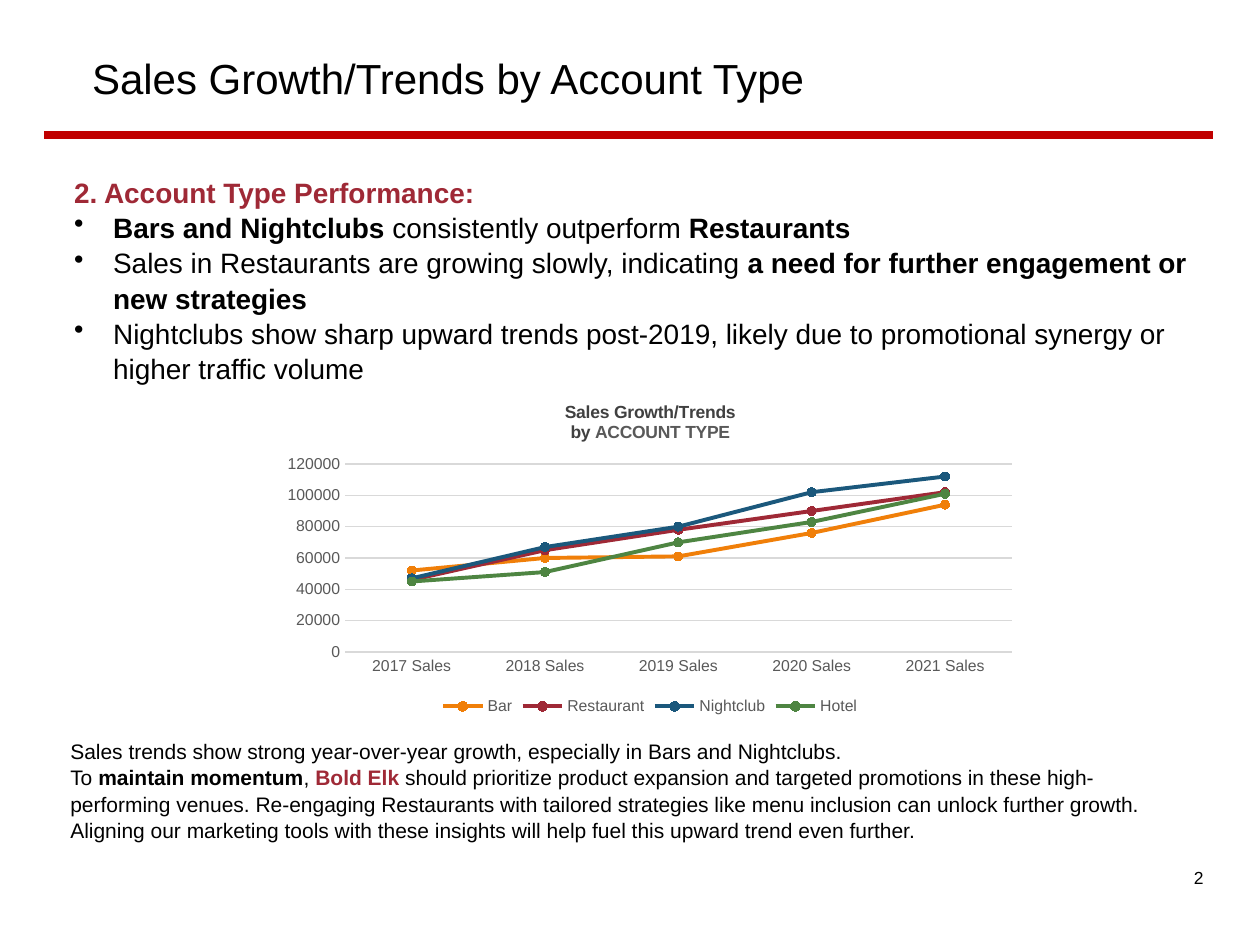
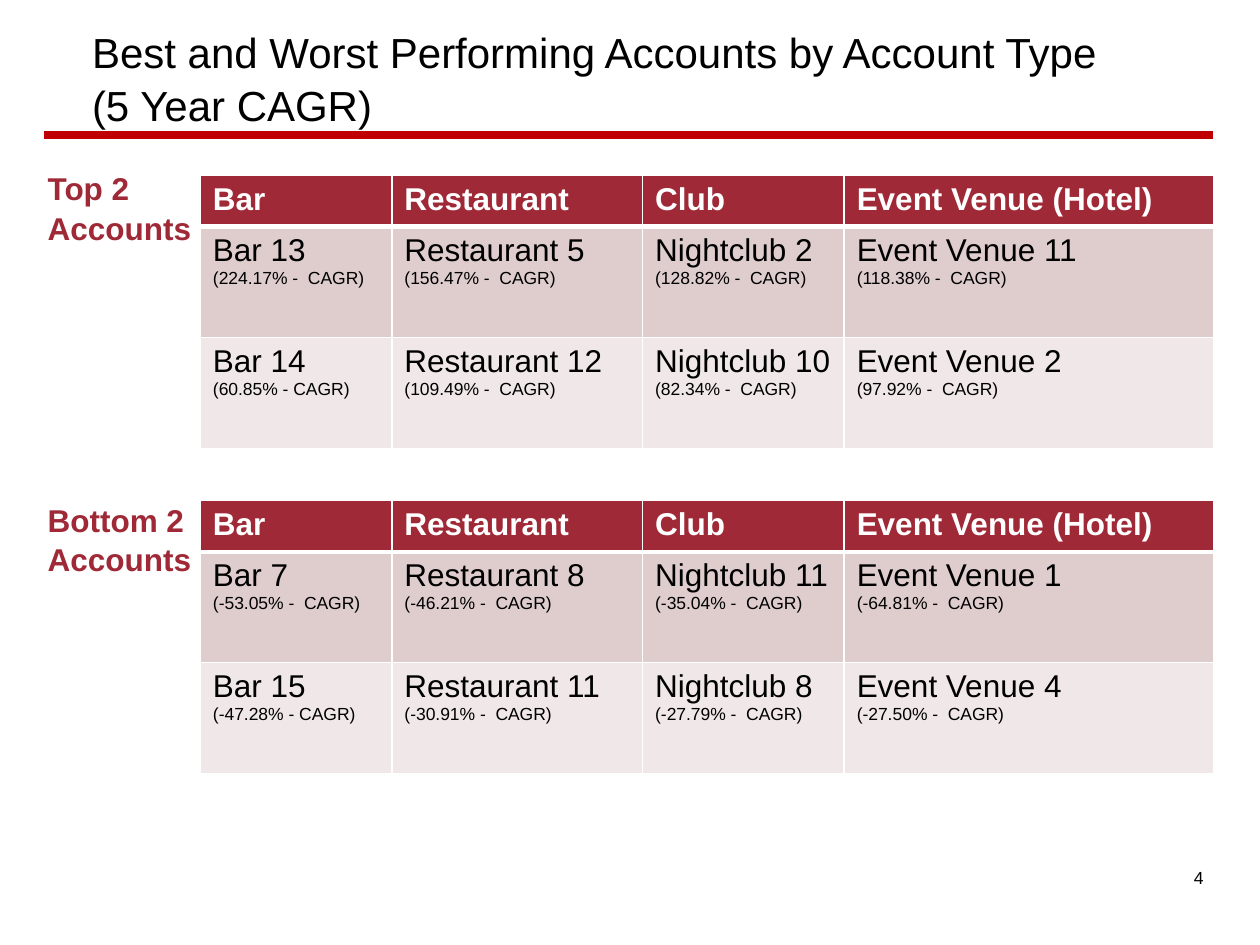
import pptx
import pptx.util
import pptx.chart.data
import pptx.dml.color
import pptx.enum.chart
import pptx.enum.shapes
import pptx.enum.text
import pptx.oxml
import pptx.oxml.ns

Inches = pptx.util.Inches
Pt = pptx.util.Pt
RGB = pptx.dml.color.RGBColor
qn = pptx.oxml.ns.qn
ALIGN = pptx.enum.text.PP_ALIGN
ANCHOR = pptx.enum.text.MSO_ANCHOR

FONT = "Arial"
BLACK = RGB(0x00, 0x00, 0x00)
WHITE = RGB(0xFF, 0xFF, 0xFF)
RULE = RGB(0xC0, 0x00, 0x00)
WINE = RGB(0x9F, 0x29, 0x36)
ROSE = RGB(0xDF, 0xCD, 0xCE)
BLUSH = RGB(0xF0, 0xE8, 0xE8)
ORANGE = RGB(0xF0, 0x7F, 0x09)
NAVY = RGB(0x1B, 0x58, 0x7C)
GREEN = RGB(0x4E, 0x85, 0x42)
DARK = RGB(0x40, 0x40, 0x40)
GREY = RGB(0x59, 0x59, 0x59)
PALE = RGB(0xD9, 0xD9, 0xD9)


def write(frame, text, size=18, color=BLACK, bold=False, align=None,
          bullet=False, space=None, hot=None):
    for line in text.split("\n"):
        para = frame.add_paragraph() if frame.text else frame.paragraphs[0]
        para.alignment = align
        para.line_spacing = space
        if bullet:
            props = para._p.get_or_add_pPr()
            props.set("marL", str(Inches(0.31)))
            props.set("indent", str(-Inches(0.31)))
            mark = pptx.oxml.parse_xml(
                '<a:buChar xmlns:a="http://schemas.openxmlformats.org/drawingml/2006/main" char="•"/>')
            props.append(mark)
        for i, part in enumerate(line.split("*")):
            if part:
                run = para.add_run()
                run.text = part
                run.font.name = FONT
                run.font.size = Pt(size)
                run.font.bold = bold or i % 2 == 1
                run.font.color.rgb = (hot or {}).get(part, color)


def box(slide, left, top, width, height):
    shape = slide.shapes.add_textbox(Inches(left), Inches(top), Inches(width), Inches(height))
    shape.text_frame.word_wrap = True
    return shape.text_frame


deck = pptx.Presentation()
deck.slide_width = Inches(10)
deck.slide_height = Inches(7.5)

pages = []
for title, number in [
    ("Sales Growth/Trends by Account Type", "2"),
    ("Best and Worst Performing Accounts by Account Type\n(5 Year CAGR)", "4"),
]:
    slide = deck.slides.add_slide(deck.slide_layouts[6])
    write(box(slide, 7, 6.83, 2.65, 0.52), number, size=10, align=ALIGN.RIGHT)
    rule = slide.shapes.add_connector(
        pptx.enum.shapes.MSO_CONNECTOR.STRAIGHT,
        Inches(0.35), Inches(1.07), Inches(9.63), Inches(1.07))
    rule.line.color.rgb = RULE
    rule.line.width = Pt(4.5)
    rule._element.spPr.append(pptx.oxml.xmlchemy.OxmlElement("a:effectLst"))
    head = box(slide, 0.34, 0.14, 9.29, 0.94)
    head.margin_left = Inches(0.39)
    head.vertical_anchor = ANCHOR.MIDDLE
    write(head, title, size=24, space=1.05)
    pages.append(slide)

trend, ranks = pages

points = box(trend, 0.49, 1.33, 9.04, 1.72)
write(points, "2. Account Type Performance:", size=16, color=WINE, bold=True, space=1.05)
for point in [
    "*Bars and Nightclubs* consistently outperform *Restaurants*",
    "Sales in Restaurants are growing slowly, indicating "
    "*a need for further engagement or new strategies*",
    "Nightclubs show sharp upward trends post-2019, likely due to promotional "
    "synergy or higher traffic volume",
]:
    write(points, point, size=16, bullet=True, space=1.05)

data = pptx.chart.data.CategoryChartData()
data.categories = [f"{year} Sales" for year in range(2017, 2022)]
lines = [
    ("Bar", ORANGE, [52000, 60000, 61000, 76000, 94000]),
    ("Restaurant", WINE, [46000, 65000, 78000, 90000, 102000]),
    ("Nightclub", NAVY, [47000, 67000, 80000, 102000, 112000]),
    ("Hotel", GREEN, [45000, 51000, 70000, 83000, 101000]),
]
for name, color, sales in lines:
    data.add_series(name, sales)
chart = trend.shapes.add_chart(
    pptx.enum.chart.XL_CHART_TYPE.LINE_MARKERS,
    Inches(2.17), Inches(3.04), Inches(5.98), Inches(2.68), data).chart
chart.font.name = FONT
chart.font.size = Pt(9)
chart.font.color.rgb = GREY
chart.has_title = True
write(chart.chart_title.text_frame, "Sales Growth/Trends\nby *ACCOUNT TYPE*",
      size=10, color=DARK, bold=True, align=ALIGN.CENTER, hot={"ACCOUNT TYPE": GREY})
chart.has_legend = True
chart.legend.position = pptx.enum.chart.XL_LEGEND_POSITION.BOTTOM
chart.legend.include_in_layout = False
chart.plots[0].vary_by_categories = False

for series, (name, color, sales) in zip(chart.plots[0].series, lines):
    series.smooth = False
    series.format.line.color.rgb = color
    series.format.line.width = Pt(2.25)
    series.marker.style = pptx.enum.chart.XL_MARKER_STYLE.CIRCLE
    series.marker.size = 5
    series.marker.format.fill.solid()
    series.marker.format.fill.fore_color.rgb = color
    series.marker.format.line.color.rgb = color

for axis in (chart.category_axis, chart.value_axis):
    axis.major_tick_mark = pptx.enum.chart.XL_TICK_MARK.NONE
    axis.minor_tick_mark = pptx.enum.chart.XL_TICK_MARK.NONE
chart.value_axis.minimum_scale = 0
chart.value_axis.maximum_scale = 120000
chart.value_axis.major_unit = 20000
chart.value_axis.format.line.fill.background()
for edge in (chart.category_axis.format.line, chart.value_axis.major_gridlines.format.line):
    edge.color.rgb = PALE
    edge.width = Pt(0.75)

area = chart.chart_title.element.getparent().find(qn("c:plotArea"))
layout = area.find(qn("c:layout"))
if layout is None:
    layout = pptx.oxml.xmlchemy.OxmlElement("c:layout")
    area.insert(0, layout)
manual = pptx.oxml.xmlchemy.OxmlElement("c:manualLayout")
layout.append(manual)
for key, value in [("layoutTarget", "inner"), ("xMode", "edge"), ("yMode", "edge"),
                   ("x", 0.095), ("y", 0.24), ("w", 0.885), ("h", 0.557)]:
    item = pptx.oxml.xmlchemy.OxmlElement(f"c:{key}")
    item.set("val", str(value))
    manual.append(item)

close = box(trend, 0.46, 5.8, 9.04, 0.91)
write(close, "Sales trends show strong year-over-year growth, especially in Bars and Nightclubs.\n"
      "To *maintain momentum*, *Bold Elk* should prioritize product expansion and targeted "
      "promotions in these high-performing venues. Re-engaging Restaurants with tailored "
      "strategies like menu inclusion can unlock further growth. Aligning our marketing tools "
      "with these insights will help fuel this upward trend even further.",
      size=12, space=1.05, hot={"Bold Elk": WINE})

kinds = ["Bar", "Restaurant", "Club", "Event Venue (Hotel)"]
widths = [1.52, 1.99, 1.6, 2.93]
heights = [0.41, 0.88, 0.88]
fills = [WINE, ROSE, BLUSH]
groups = [
    ("Top 2 Accounts", 1.28, 1.39, [
        ["Bar 13\n(224.17% -  CAGR)", "Restaurant 5\n(156.47% -  CAGR)",
         "Nightclub 2\n(128.82% -  CAGR)", "Event Venue 11\n(118.38% -  CAGR)"],
        ["Bar 14\n(60.85% - CAGR)", "Restaurant 12\n(109.49% -  CAGR)",
         "Nightclub 10\n(82.34% -  CAGR)", "Event Venue 2\n(97.92% -  CAGR)"],
    ]),
    ("Bottom 2 Accounts", 3.91, 3.97, [
        ["Bar 7\n(-53.05% -  CAGR)", "Restaurant 8\n(-46.21% -  CAGR)",
         "Nightclub 11\n(-35.04% -  CAGR)", "Event Venue 1\n(-64.81% -  CAGR)"],
        ["Bar 15\n(-47.28% - CAGR)", "Restaurant 11\n(-30.91% -  CAGR)",
         "Nightclub 8\n(-27.79% -  CAGR)", "Event Venue 4\n(-27.50% -  CAGR)"],
    ]),
]
for label, high, top, rows in groups:
    write(box(ranks, 0.28, high, 1.65, 0.71), label, color=WINE, bold=True, space=1.05)
    table = ranks.shapes.add_table(
        3, 4, Inches(1.59), Inches(top), Inches(sum(widths)), Inches(sum(heights))).table
    for column, width in zip(table.columns, widths):
        column.width = Inches(width)
    for r, texts in enumerate([kinds] + rows):
        table.rows[r].height = Inches(heights[r])
        for c, text in enumerate(texts):
            cell = table.cell(r, c)
            cell.fill.solid()
            cell.fill.fore_color.rgb = fills[r]
            if r == 0:
                write(cell.text_frame, text, color=WHITE, bold=True)
            else:
                name, rate = text.split("\n")
                write(cell.text_frame, name)
                write(cell.text_frame, rate, size=10)
            for i, side in enumerate("LRTB"):
                thick = (r, side) in [(0, "B"), (1, "T")]
                edge = pptx.oxml.parse_xml(
                    f'<a:ln{side} xmlns:a="http://schemas.openxmlformats.org/drawingml/2006/main" '
                    f'w="{Pt(3 if thick else 1)}"><a:solidFill><a:srgbClr val="{WHITE}"/>'
                    f'</a:solidFill></a:ln{side}>')
                cell._tc.get_or_add_tcPr().insert(i, edge)

deck.save("out.pptx")
